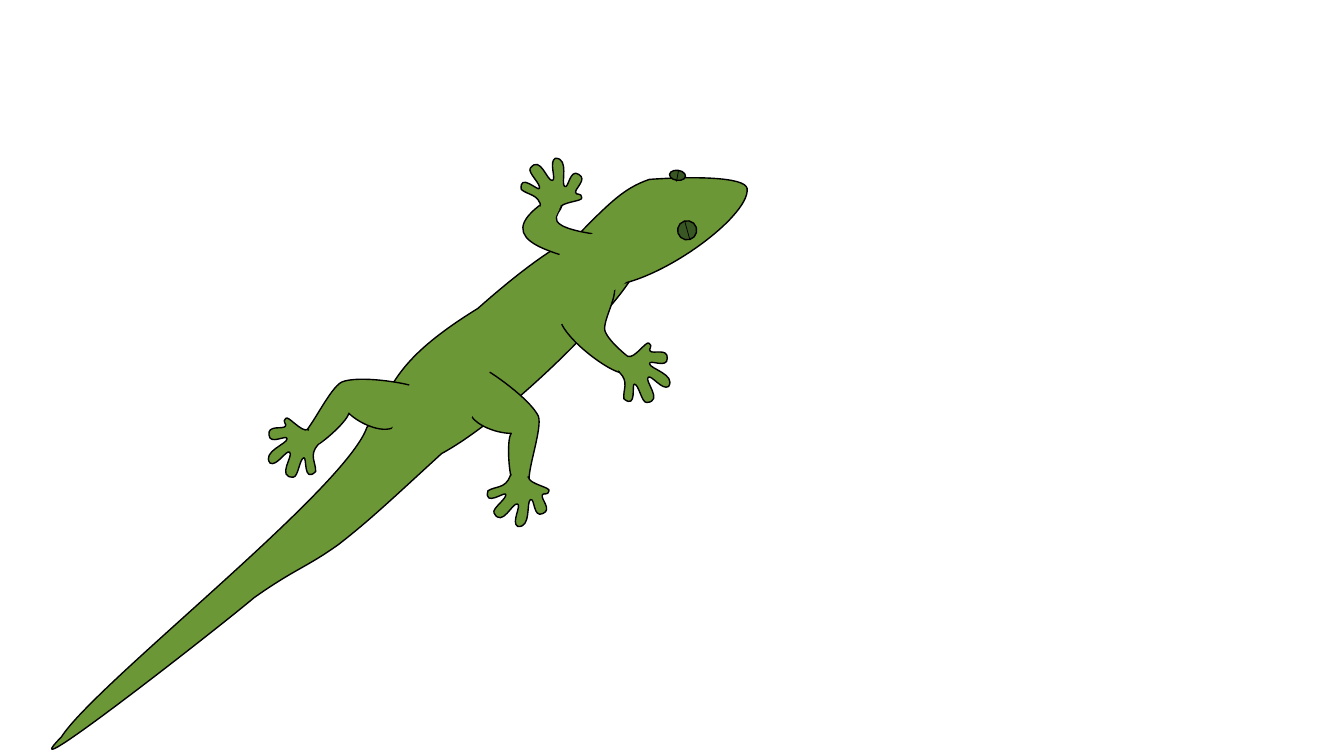
from math import cos, radians, sin

from lxml.etree import SubElement
from pptx import Presentation
from pptx.dml.color import RGBColor
from pptx.enum.shapes import MSO_CONNECTOR, MSO_SHAPE
from pptx.oxml.ns import qn
from pptx.util import Cm, Pt

INCH = 2.54
COLORS = {"skin": "6C9736", "eye": "385723", "ink": "000000"}

TRUNK = [
    (5.82, 2.32), (5.58, 2.36, 5.1, 2.74, 4.74, 3.06),
    (3.83, 3.62, 3.91, 3.88, 3.64, 4.24), (3.42, 4.86, 0.94, 6.79, 0.61, 7.31),
    (0.04, 7.89, 2.14, 6.25, 2.52, 5.93), (2.93, 5.64, 3.04, 5.63, 3.36, 5.4),
    (3.67, 5.16, 3.91, 4.93, 4.38, 4.5), (5.02, 4.15, 6.02, 3.15, 6.25, 2.78),
    (5.82, 2.32),
]
HEAD = [
    (6.44, 1.78), (6.18, 1.87, 6.04, 2.01, 5.56, 2.51), (5.89, 2.83),
    (6.38, 2.93, 7.45, 2.16, 7.41, 1.87), (7.39, 1.75, 6.84, 1.75, 6.44, 1.78),
]
LEFT_ARM = [
    (5.88, 2.32), (5.25, 2.22, 5.65, 2.08, 5.56, 2.01), (5.42, 1.99),
    (4.77, 2.42, 5.67, 2.52, 5.74, 2.6), (5.88, 2.32),
]
RIGHT_ARM = [
    (5.99, 2.78), (6.24, 2.78, 5.97, 3.15, 6, 3.28),
    (6.04, 3.4, 6.26, 3.56, 6.29, 3.59), (6.19, 3.7),
    (6.06, 3.72, 5.47, 3.27, 5.56, 3.1), (5.99, 2.78),
]
LEFT_LEG = [
    (4.12, 3.84), (4.04, 3.8, 3.56, 3.72, 3.39, 3.79),
    (3.27, 3.85, 3.09, 4.25, 3, 4.31), (3.11, 4.43),
    (3.16, 4.43, 3.44, 4.19, 3.46, 4.1), (3.57, 4.21, 3.83, 4.32, 3.93, 4.22),
    (4.12, 3.84),
]
RIGHT_LEG = [
    (4.78, 3.65), (4.86, 3.68, 5.26, 3.96, 5.34, 4.13),
    (5.38, 4.25, 5.23, 4.66, 5.25, 4.77), (5.09, 4.78),
    (5.05, 4.75, 5.02, 4.37, 5.07, 4.3), (4.91, 4.3, 4.65, 4.2, 4.65, 4.05),
    (4.78, 3.65),
]
FOOT = [
    (0.3, 0.13), (0.3, 0.08, 0.24, 0.11, 0.24, 0.08),
    (0.23, 0.04, 0.36, -0.05, 0.27, -0.1), (0.18, -0.16, 0.17, 0.05, 0.13, 0.02),
    (0.09, -0.01, 0.18, -0.26, 0.04, -0.26),
    (-0.03, -0.23, 0.05, -0.05, 0.01, -0.04),
    (-0.04, -0.02, -0.11, -0.3, -0.21, -0.16),
    (-0.24, -0.12, -0.1, 0, -0.12, 0.04), (-0.13, 0.07, -0.32, -0.12, -0.3, 0.05),
    (-0.23, 0.11, -0.13, 0.09, -0.1, 0.23), (-0.06, 0.27), (0.08, 0.24),
    (0.09, 0.17, 0.32, 0.17, 0.3, 0.13),
]
JOINTS = [
    (3.05, 4.26, 0.11, 0.16, 323.9), (3.97, 3.76, 0.11, 0.6, 21.6),
    (4.66, 3.6, 0.11, 0.6, 21.6), (5.39, 2.36, 0.59, 0.86, 57.2),
]
WRISTS = [
    (5.1, 4.6, 0.11, 0.16, 269.6), (6.11, 3.52, 0.11, 0.16, 212.5),
    (5.38, 1.98, 0.14, 0.18, 294.4),
]
EYES = [(6.72, 2.19, 0.19, 0.19, 342.3), (6.64, 1.69, 0.16, 0.1, 7.1)]
PUPILS = [(6.79, 2.19, 6.84, 2.37), (6.73, 1.69, 6.71, 1.8)]


def size(inches):
    return Cm(inches * INCH)


def pairs(step):
    return list(zip(step[::2], step[1::2]))


class Gecko:
    def __init__(self, slide):
        self.shapes = slide.shapes.add_group_shape().shapes

    def paint(self, shape, fill, ink=True):
        shape.shadow.inherit = False
        shape.fill.solid()
        shape.fill.fore_color.rgb = RGBColor.from_string(COLORS[fill])
        if ink:
            self.stroke(shape.line, 1)
        else:
            shape.line.fill.background()

    def stroke(self, line, width):
        line.color.rgb = RGBColor.from_string(COLORS["ink"])
        line.width = Pt(width)

    def outline(self, steps):
        paths = [[(size(x), size(y)) for x, y in pairs(step)] for step in steps]
        start, *ends = [path[-1] for path in paths]
        pen = self.shapes.build_freeform(*start, scale=1.0)
        pen.add_line_segments(ends, close=True)
        shape = pen.convert_to_shape()
        self.paint(shape, "skin")
        edges = list(shape._element.iter(qn("a:lnTo")))
        for edge, path in zip(edges, paths[1:]):
            if len(path) == 3:
                edge.tag = qn("a:cubicBezTo")
                edge.clear()
                for x, y in path:
                    SubElement(edge, qn("a:pt"), x=str(x - shape.left),
                               y=str(y - shape.top))

    def foot(self, left, top, turn=0, side=1):
        c, s = cos(radians(turn)), sin(radians(turn))
        self.outline([
            [n for x, y in pairs(step)
             for n in (left + side * x * c - y * s, top + side * x * s + y * c)]
            for step in FOOT
        ])

    def preset(self, kind, box, fill, ink):
        *place, turn = box
        shape = self.shapes.add_shape(kind, *map(size, place))
        shape.rotation = turn
        self.paint(shape, fill, ink)

    def eye(self, box):
        self.preset(MSO_SHAPE.OVAL, box, "eye", True)

    def patch(self, box):
        self.preset(MSO_SHAPE.RECTANGLE, box, "skin", False)

    def pupil(self, ends):
        line = self.shapes.add_connector(MSO_CONNECTOR.STRAIGHT, *map(size, ends))
        self.stroke(line.line, 0.5)
        SubElement(line._element.spPr, qn("a:effectLst"))


def main():
    deck = Presentation()
    deck.slide_width, deck.slide_height = size(13.33), size(7.5)
    gecko = Gecko(deck.slides.add_slide(deck.slide_layouts[6]))
    for part in (TRUNK, HEAD, LEFT_ARM):
        gecko.outline(part)
    gecko.foot(5.47, 1.83)
    gecko.outline(RIGHT_ARM)
    gecko.foot(6.39, 3.73, turn=122.1, side=-1)
    gecko.outline(LEFT_LEG)
    gecko.foot(2.91, 4.47, turn=-127)
    gecko.outline(RIGHT_LEG)
    for box in EYES:
        gecko.eye(box)
    for box in JOINTS:
        gecko.patch(box)
    gecko.foot(5.13, 4.96, turn=187.8, side=-1)
    for box in WRISTS:
        gecko.patch(box)
    for ends in PUPILS:
        gecko.pupil(ends)
    deck.save("out.pptx")


if __name__ == "__main__":
    main()
